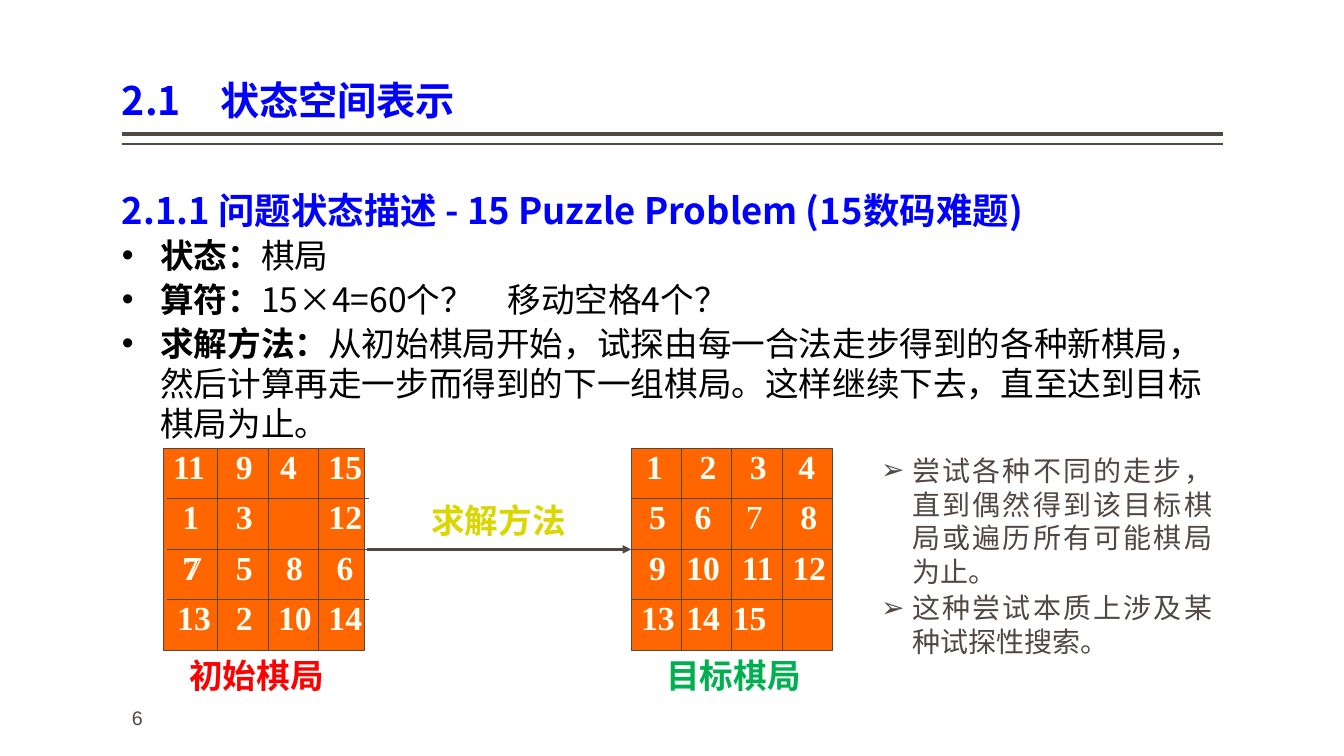
from lxml import etree
from pptx import Presentation
from pptx.dml.color import RGBColor
from pptx.enum.shapes import MSO_CONNECTOR, MSO_SHAPE
from pptx.enum.text import MSO_ANCHOR, PP_ALIGN
from pptx.oxml.ns import qn
from pptx.util import Inches, Pt

STRAIGHT = MSO_CONNECTOR.STRAIGHT
RECTANGLE = MSO_SHAPE.RECTANGLE
BOTTOM = MSO_ANCHOR.BOTTOM
JUSTIFY = PP_ALIGN.JUSTIFY
SANS = "Noto Sans CJK SC"
SERIF = "Times New Roman"
GREY, BLUE, BLACK = "514843", "0000FF", "000000"
CELL = 0.5

deck = Presentation()
deck.slide_width, deck.slide_height = Inches(13.33), Inches(7.5)
page = deck.slides.add_slide(deck.slide_layouts[6])


def add_text(place, paragraphs, size, color, font=SANS, bold=False, bullet=None,
             indent=0, spacing=None, side=0.1, wrap=True):
    """Add a text box; each paragraph is a list of (text, bold) spans or a string."""
    box = page.shapes.add_textbox(*map(Inches, place))
    frame = box.text_frame
    frame.word_wrap = wrap
    frame.margin_left = frame.margin_right = Inches(side)
    for index, spans in enumerate(paragraphs):
        para = frame.paragraphs[0] if index == 0 else frame.add_paragraph()
        if bullet:
            properties = para._p.get_or_add_pPr()
            properties.set("marL", str(Inches(indent)))
            properties.set("indent", str(-Inches(indent)))
            etree.SubElement(properties, qn("a:buFont")).set("typeface", "Arial")
            etree.SubElement(properties, qn("a:buChar")).set("char", bullet)
            para.space_before = Pt(0 if index == 0 else size / 10)
        para.line_spacing = spacing
        para.font.size = Pt(size)
        para.font.name = font
        para.font.color.rgb = RGBColor.from_string(color)
        for text, strong in [(spans, bold)] if isinstance(spans, str) else spans:
            span = para.add_run()
            span.text = text
            span.font.size = Pt(size)
            span.font.name = font
            span.font.bold = strong
            span.font.color.rgb = RGBColor.from_string(color)
            east_asian = etree.SubElement(span.font._element, qn("a:ea"))
            east_asian.set("typeface", font)
    return box


def add_line(x1, y1, x2, y2, width=0.75, arrow=False):
    line = page.shapes.add_connector(STRAIGHT, *map(Inches, (x1, y1, x2, y2)))
    line.line.color.rgb = RGBColor.from_string(GREY)
    line.line.width = Pt(width)
    if arrow:
        outline = line.line._get_or_add_ln()
        etree.SubElement(outline, qn("a:tailEnd")).set("type", "triangle")
    etree.SubElement(line._element.spPr, qn("a:effectLst"))


# Header and page number
add_line(1.21, 1.33, 12.13, 1.33, 3)
add_line(1.21, 1.43, 12.13, 1.43, 1)
add_text((1.21, 6.95, 2, 0.4), ["6"], 14, GREY, "Arial")
title = add_text((1.21, 0.08, 10.92, 1.2), ["2.1　状态空间表示"], 28, BLUE,
                 bold=True, spacing=0.9, side=0)
title.text_frame.vertical_anchor = BOTTOM

# Problem description
body = add_text((1.21, 1.6, 10.92, 2.92), [
    "2.1.1 问题状态描述 - 15 Puzzle Problem (15数码难题)",
    [("状态：", True), ("棋局", False)],
    [("算符：", True), ("15×4=60个？　移动空格4个？", False)],
    [("求解方法：", True),
     ("从初始棋局开始，试探由每一合法走步得到的各种新棋局，然后计算再走一步而得到的"
      "下一组棋局。这样继续下去，直至达到目标棋局为止。", False)],
], 24, BLACK, bullet="•", indent=0.38, side=0)
heading = body.text_frame.paragraphs[0]
heading_properties = heading._p.pPr
for name in ("marL", "indent"):
    heading_properties.set(name, "0")
for tag in ("a:buFont", "a:buChar"):
    heading_properties.remove(heading_properties.find(qn(tag)))
heading.line_spacing = 1.5
heading.font.size = Pt(26)
heading_span = heading.runs[0].font
heading_span.size, heading_span.bold = Pt(26), True
heading_span.color.rgb = RGBColor.from_string(BLUE)
body.text_frame.paragraphs[-1].runs[-1].text = (
    body.text_frame.paragraphs[-1].runs[-1].text)

# Boards: left edge, grid left edge, tiles, sideways nudges, light tiles
start = [[11, 9, 4, 15], [1, 3, None, 12], [7, 5, 8, 6], [13, 2, 10, 14]]
goal = [[1, 2, 3, 4], [5, 6, 7, 8], [9, 10, 11, 12], [13, 14, 15, None]]
boards = [
    (1.62, 1.66, start, {11: -0.04, 1: -0.03, 7: -0.03, 4: -0.06}, []),
    (6.26, 6.26, goal, {1: -0.03, 4: -0.02, 6: -0.05, 7: -0.04, 10: -0.05,
                        14: -0.05, 15: -0.09}, [7]),
]
top = 4.45
tile_style = {"size": 24, "color": "FFFFF3", "font": SERIF, "spacing": 0.8, "wrap": False}
for left, grid_left, tiles, nudges, light_tiles in boards:
    board = page.shapes.add_shape(RECTANGLE, *map(Inches, (left, top, 4 * CELL, 4 * CELL)))
    board.shadow.inherit = False
    board.fill.solid()
    board.fill.fore_color.rgb = RGBColor.from_string("FF6600")
    board.line.color.rgb = RGBColor.from_string(GREY)
    board.line.width = Pt(0.75)
    for step in range(1, 4):
        x, y = grid_left + step * CELL, top + step * CELL
        add_line(x, top, x, top + 4 * CELL)
        add_line(grid_left, y, grid_left + 4 * CELL, y)
    for row, numbers in enumerate(tiles):
        for column, number in enumerate(numbers):
            if number is None:
                continue
            width = 0.53 if number > 9 else 0.37
            x = grid_left + column * CELL + (0.53 - width) / 2 + nudges.get(number, 0)
            add_text((x, top + row * CELL, width, CELL), [str(number)],
                     bold=number not in light_tiles, **tile_style)
add_text((1.74, top + 2 * CELL, 0.37, CELL), ["7"], **tile_style)

# Arrow and labels
add_line(3.64, 5.45, 6.26, 5.45, 2, arrow=True)
for x, y, label, color in [(1.78, 6.53, "初始棋局", "FF0000"),
                           (6.51, 6.53, "目标棋局", "00B050"),
                           (4.18, 4.99, "求解方法", "DBD600")]:
    add_text((x, y, 1.55, 0.42), [label], 24, color, bold=True, spacing=0.8, wrap=False)

# Remarks on the search
remarks = add_text((8.64, 4.45, 3.48, 2.15), [
    "尝试各种不同的走步，直到偶然得到该目标棋局或遍历所有可能棋局为止。",
    "这种尝试本质上涉及某种试探性搜索。",
], 20, GREY, bullet="➢", indent=0.31)
for para in remarks.text_frame.paragraphs:
    para.alignment = JUSTIFY

deck.save("out.pptx")
